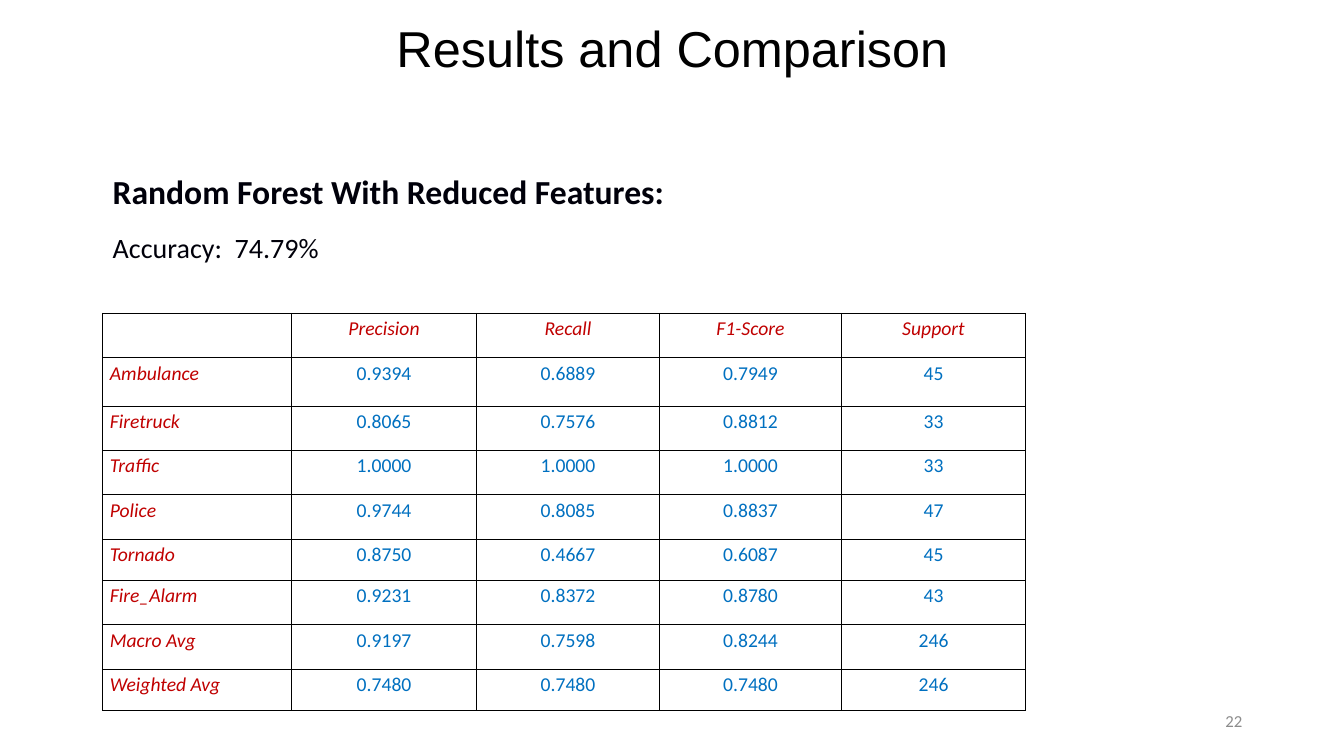
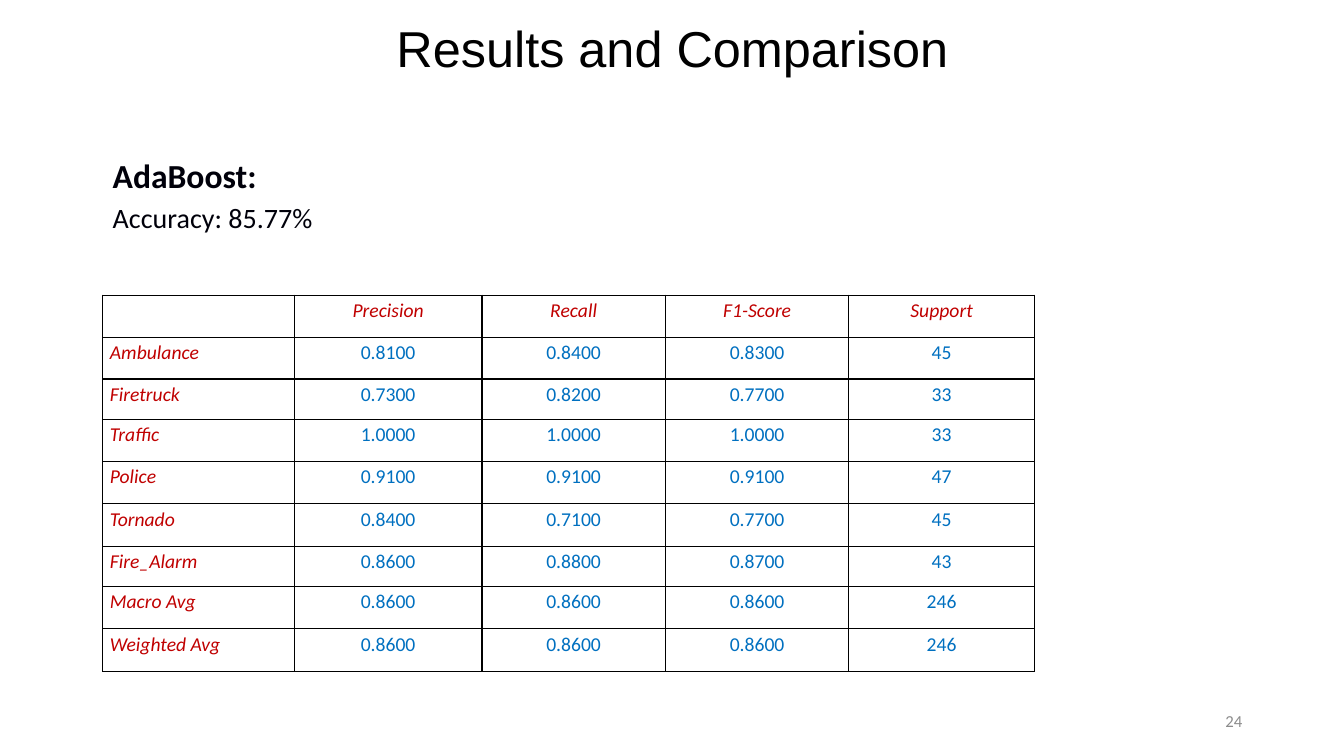
from dataclasses import dataclass

from lxml.etree import SubElement
from pptx import Presentation
from pptx.dml.color import RGBColor
from pptx.enum.text import MSO_ANCHOR, PP_ALIGN
from pptx.oxml import parse_xml
from pptx.oxml.ns import nsdecls
from pptx.slide import Slide
from pptx.table import _Cell
from pptx.text.text import TextFrame, _Paragraph
from pptx.util import Inches, Pt


@dataclass(frozen=True)
class TextStyle:
    size: int
    color: str
    font: str = "Calibri"
    bold: bool = False
    italic: bool = False


@dataclass(frozen=True)
class Theme:
    title: TextStyle = TextStyle(36, "000000", font="Arial")
    page: TextStyle = TextStyle(12, "8C8C8C")
    model: TextStyle = TextStyle(24, "00000A", bold=True)
    accuracy: TextStyle = TextStyle(20, "00000A")
    label: TextStyle = TextStyle(14, "C00000", italic=True)
    score: TextStyle = TextStyle(14, "0070C0")
    border_color: str = "000000"
    border_width: float = 1
    line_spacing: float = 1.15
    space_after: int = 10
    cell_inset: float = 0.07


@dataclass(frozen=True)
class Box:
    left: float
    top: float
    width: float
    height: float


@dataclass(frozen=True)
class ModelResult:
    page: str
    model: str
    accuracy: str
    summary: Box
    accuracy_in_new_paragraph: bool
    table_top: float
    column_widths: tuple[float, ...]
    row_heights: tuple[float, ...]
    scores: tuple[str, ...]


THEME = Theme()
TITLE = "Results and Comparison"
TITLE_BOX = Box(2.42, 0, 8.5, 0.94)
PAGE_BOX = Box(9.42, 6.95, 3, 0.4)
TABLE_LEFT = 1.02
METRICS = ("", "Precision", "Recall", "F1-Score", "Support")
SUPPORT = {
    "Ambulance": "45",
    "Firetruck": "33",
    "Traffic": "33",
    "Police": "47",
    "Tornado": "45",
    "Fire_Alarm": "43",
    "Macro Avg": "246",
    "Weighted Avg": "246",
}

RESULTS = (
    ModelResult(
        page="22",
        model="Random Forest With Reduced Features:",
        accuracy="Accuracy:  74.79%",
        summary=Box(1.02, 1.59, 6.67, 1.04),
        accuracy_in_new_paragraph=True,
        table_top=3.11,
        column_widths=(1.87, 1.84, 1.81, 1.81, 1.82),
        row_heights=(0.44, 0.48, 0.44, 0.44, 0.44, 0.41, 0.44, 0.44, 0.41),
        scores=(
            "0.9394 0.6889 0.7949",
            "0.8065 0.7576 0.8812",
            "1.0000 1.0000 1.0000",
            "0.9744 0.8085 0.8837",
            "0.8750 0.4667 0.6087",
            "0.9231 0.8372 0.8780",
            "0.9197 0.7598 0.8244",
            "0.7480 0.7480 0.7480",
        ),
    ),
    ModelResult(
        page="24",
        model="AdaBoost:",
        accuracy="Accuracy: 85.77%",
        summary=Box(1.02, 1.43, 6.67, 0.93),
        accuracy_in_new_paragraph=False,
        table_top=2.93,
        column_widths=(1.9, 1.86, 1.82, 1.82, 1.84),
        row_heights=(0.42, 0.41, 0.4, 0.42, 0.42, 0.42, 0.4, 0.42, 0.42),
        scores=(
            "0.8100 0.8400 0.8300",
            "0.7300 0.8200 0.7700",
            "1.0000 1.0000 1.0000",
            "0.9100 0.9100 0.9100",
            "0.8400 0.7100 0.7700",
            "0.8600 0.8800 0.8700",
            "0.8600 0.8600 0.8600",
            "0.8600 0.8600 0.8600",
        ),
    ),
)


def add_run(paragraph: _Paragraph, text: str, style: TextStyle) -> None:
    run = paragraph.add_run()
    run.text = text
    run.font.name = style.font
    run.font.size = Pt(style.size)
    run.font.bold = style.bold
    run.font.italic = style.italic
    run.font.color.rgb = RGBColor.from_string(style.color)


def add_text_frame(slide: Slide, box: Box, anchor: MSO_ANCHOR) -> TextFrame:
    frame = slide.shapes.add_textbox(
        Inches(box.left), Inches(box.top), Inches(box.width), Inches(box.height)
    ).text_frame
    frame.word_wrap = True
    frame.vertical_anchor = anchor
    return frame


def add_line(slide: Slide, box: Box, text: str, style: TextStyle, align: PP_ALIGN) -> None:
    paragraph = add_text_frame(slide, box, MSO_ANCHOR.MIDDLE).paragraphs[0]
    paragraph.alignment = align
    add_run(paragraph, text, style)


def set_body_spacing(paragraph: _Paragraph) -> None:
    paragraph.line_spacing = THEME.line_spacing
    paragraph.space_after = Pt(THEME.space_after)


def add_summary(slide: Slide, result: ModelResult) -> None:
    frame = add_text_frame(slide, result.summary, MSO_ANCHOR.TOP)
    paragraph = frame.paragraphs[0]
    set_body_spacing(paragraph)
    add_run(paragraph, result.model, THEME.model)
    if result.accuracy_in_new_paragraph:
        paragraph = frame.add_paragraph()
        set_body_spacing(paragraph)
    else:
        paragraph.add_line_break()
    add_run(paragraph, result.accuracy, THEME.accuracy)


def set_borders(cell: _Cell) -> None:
    properties = cell._tc.get_or_add_tcPr()
    for position, side in enumerate(("lnL", "lnR", "lnT", "lnB")):
        border = parse_xml(f'<a:{side} {nsdecls("a")} w="{Pt(THEME.border_width)}"/>')
        namespace = border.nsmap["a"]
        fill = SubElement(border, f"{{{namespace}}}solidFill")
        SubElement(fill, f"{{{namespace}}}srgbClr", val=THEME.border_color)
        properties.insert(position, border)


def fill_cell(cell: _Cell, text: str, style: TextStyle, align: PP_ALIGN) -> None:
    cell.margin_left = cell.margin_right = Inches(THEME.cell_inset)
    cell.margin_top = cell.margin_bottom = 0
    cell.fill.background()
    set_borders(cell)
    if text:
        paragraph = cell.text_frame.paragraphs[0]
        paragraph.alignment = align
        set_body_spacing(paragraph)
        add_run(paragraph, text, style)


def add_score_table(slide: Slide, result: ModelResult) -> None:
    rows = [METRICS]
    for (label, support), scores in zip(SUPPORT.items(), result.scores):
        rows.append((label, *scores.split(), support))
    table = slide.shapes.add_table(
        len(rows),
        len(METRICS),
        Inches(TABLE_LEFT),
        Inches(result.table_top),
        Inches(sum(result.column_widths)),
        Inches(sum(result.row_heights)),
    ).table
    table.first_row = False
    table.horz_banding = False
    for column, width in zip(table.columns, result.column_widths):
        column.width = Inches(width)
    for row, height in zip(table.rows, result.row_heights):
        row.height = Inches(height)
    for r, values in enumerate(rows):
        for c, value in enumerate(values):
            style = THEME.score if r and c else THEME.label
            align = PP_ALIGN.CENTER if c else PP_ALIGN.LEFT
            fill_cell(table.cell(r, c), value, style, align)


def main() -> None:
    presentation = Presentation()
    presentation.slide_width = Inches(13.33)
    presentation.slide_height = Inches(7.5)
    blank = presentation.slide_layouts[6]
    for result in RESULTS:
        slide = presentation.slides.add_slide(blank)
        add_line(slide, TITLE_BOX, TITLE, THEME.title, PP_ALIGN.CENTER)
        add_line(slide, PAGE_BOX, result.page, THEME.page, PP_ALIGN.RIGHT)
        add_summary(slide, result)
        add_score_table(slide, result)
    presentation.save("out.pptx")


if __name__ == "__main__":
    main()
